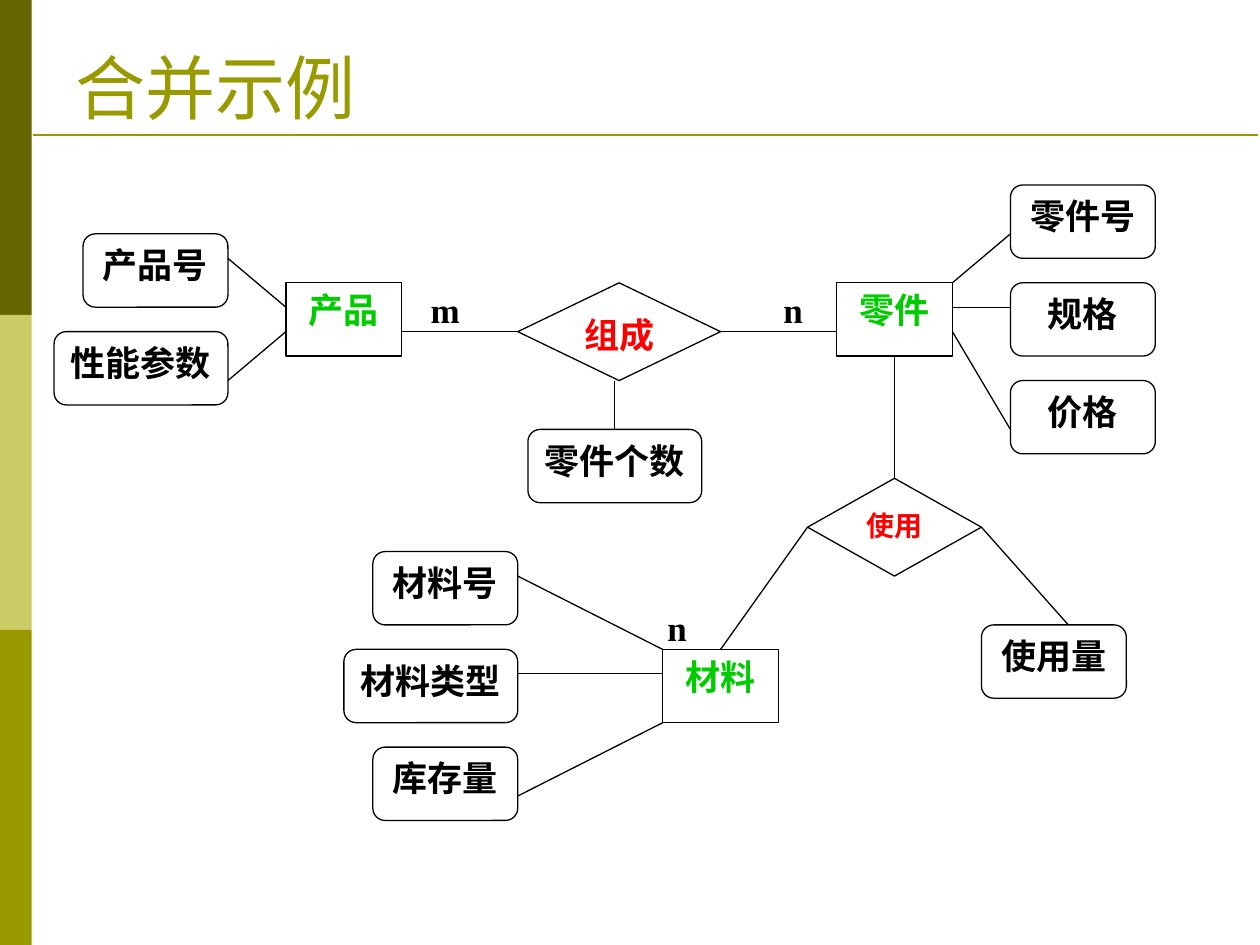
from dataclasses import dataclass

from lxml import etree
from pptx import Presentation
from pptx.dml.color import RGBColor
from pptx.enum.shapes import MSO_CONNECTOR, MSO_SHAPE
from pptx.enum.text import MSO_ANCHOR, PP_ALIGN
from pptx.oxml.ns import qn
from pptx.util import Cm, Pt

RECT, ROUNDED, DIAMOND = MSO_SHAPE.RECTANGLE, MSO_SHAPE.ROUNDED_RECTANGLE, MSO_SHAPE.DIAMOND
STRAIGHT = MSO_CONNECTOR.STRAIGHT
TOP, BOTTOM = MSO_ANCHOR.TOP, MSO_ANCHOR.BOTTOM
LEFT, CENTER = PP_ALIGN.LEFT, PP_ALIGN.CENTER
TOP_SITE, LEFT_SITE, BOTTOM_SITE, RIGHT_SITE = range(4)


@dataclass(frozen=True)
class Theme:
    font: str = "Times New Roman"
    olive: RGBColor = RGBColor(0x99, 0x99, 0x00)
    dark_olive: RGBColor = RGBColor(0x66, 0x66, 0x00)
    light_olive: RGBColor = RGBColor(0xCC, 0xCC, 0x66)
    white: RGBColor = RGBColor(0xFF, 0xFF, 0xFF)
    black: RGBColor = RGBColor(0x00, 0x00, 0x00)
    entity: RGBColor = RGBColor(0x00, 0xCC, 0x00)
    relation: RGBColor = RGBColor(0xFF, 0x00, 0x00)
    title_size: Pt = Pt(40)
    node_size: Pt = Pt(20)
    small_size: Pt = Pt(16)
    thin: Pt = Pt(0.75)
    rule: Pt = Pt(1.5)


THEME = Theme()

# Diagram grid: 38 columns by 26 rows
COLUMNS, ROWS = 38, 26
NODE_ROWS, DIAMOND_ROWS = 3, 4

# text, column, row, columns wide
CARDINALITIES = [("n", 20, 17, 3), ("n", 24, 4, 3), ("m", 12, 4, 3)]
ENTITIES = [("产品", 8, 4, 4), ("零件", 27, 4, 4), ("材料", 21, 19, 4)]
ATTRIBUTES = [
    ("产品号", 1, 2, 5), ("性能参数", 0, 6, 6),
    ("零件号", 33, 0, 5), ("规格", 33, 4, 5), ("价格", 33, 8, 5),
    ("零件个数", 16.35, 10, 6), ("使用量", 32, 18, 5),
    ("材料号", 11, 15, 5), ("材料类型", 10, 19, 6), ("库存量", 11, 23, 5),
]
RELATIONS = [("组成", 16, 4, 7, THEME.node_size), ("使用", 26, 12, 6, THEME.small_size)]

# Each end is a (column, row) point or a (node text, connection site) pair
LINKS = [
    ((12, 6), ("组成", LEFT_SITE)),
    (("组成", RIGHT_SITE), (27, 6)),
    ((19.35, 8), ("零件个数", TOP_SITE)),
    (("零件", BOTTOM_SITE), ("使用", TOP_SITE)),
    (("使用", RIGHT_SITE), (35, 18)),
    (("使用", LEFT_SITE), ("材料", TOP_SITE)),
    ((6, 3), (8, 5)), ((6, 8), (8, 6)),
    ((33, 2), (31, 4)), ((31, 5), (33, 5)), ((31, 6), (33, 10)),
    ((16, 16), (21, 19)), ((16, 20), (21, 20)), ((16, 25), (21, 22)),
]


def add_block(slide, kind, box, fill, outline=None):
    block = slide.shapes.add_shape(kind, *box)
    block.shadow.inherit = False
    block.fill.solid()
    block.fill.fore_color.rgb = fill
    if outline is None:
        block.line.fill.background()
    else:
        block.line.color.rgb = outline
        block.line.width = THEME.thin
    return block


def add_line(slide, start, end, color, width):
    line = slide.shapes.add_connector(STRAIGHT, *start, *end)
    line.line.color.rgb = color
    line.line.width = width
    etree.SubElement(line._element.spPr, qn("a:effectLst"))
    return line


def write(shape, text, size, color, bold, align, anchor, wrap):
    frame = shape.text_frame
    frame.word_wrap = wrap
    frame.vertical_anchor = anchor
    paragraph = frame.paragraphs[0]
    paragraph.text = text
    paragraph.alignment = align
    font = paragraph.font
    font.name, font.size, font.bold = THEME.font, size, bold
    font.color.rgb = color


def add_side_bar(slide, left, top, width, height):
    colors = (THEME.dark_olive, THEME.light_olive, THEME.olive)
    band = height // len(colors)
    for i, color in enumerate(colors):
        add_block(slide, RECT, (left, top + i * band, width, band), color)


def add_heading(slide, text, left, top, width, height):
    """Title text above a rule that spans the whole box."""
    bottom = top + height
    add_line(slide, (left, bottom), (left + width, bottom), THEME.olive, THEME.rule)
    title = slide.shapes.add_textbox(left + Cm(0.61), top, width - Cm(1.83), height)
    write(title, text, THEME.title_size, THEME.olive, False, LEFT, BOTTOM, True)


def add_er_diagram(slide, left, top, width, height):
    nodes = {}

    def at(column, row):
        return round(left + column * width / COLUMNS), round(top + row * height / ROWS)

    def add_node(kind, text, column, row, columns, rows, color, outline, size=THEME.node_size):
        x, y = at(column, row)
        right, bottom = at(column + columns, row + rows)
        node = add_block(slide, kind, (x, y, right - x, bottom - y), THEME.white, outline)
        write(node, text, size, color, True, CENTER, TOP, False)
        nodes[text] = node

    def place(end):
        return (0, 0) if end[0] in nodes else at(*end)

    for cardinality in CARDINALITIES:
        add_node(RECT, *cardinality, NODE_ROWS, THEME.black, None)
    for entity in ENTITIES:
        add_node(RECT, *entity, NODE_ROWS, THEME.entity, THEME.black)
    for attribute in ATTRIBUTES:
        add_node(ROUNDED, *attribute, NODE_ROWS, THEME.black, THEME.black)
    for *relation, size in RELATIONS:
        add_node(DIAMOND, *relation, DIAMOND_ROWS, THEME.relation, THEME.black, size)

    for start, end in LINKS:
        link = add_line(slide, place(start), place(end), THEME.black, THEME.thin)
        if start[0] in nodes:
            link.begin_connect(nodes[start[0]], start[1])
        if end[0] in nodes:
            link.end_connect(nodes[end[0]], end[1])


def main():
    deck = Presentation()
    deck.slide_width, deck.slide_height = Cm(25.4), Cm(19.05)
    slide = deck.slides.add_slide(deck.slide_layouts[6])
    add_side_bar(slide, 0, 0, Cm(0.64), deck.slide_height)
    add_heading(slide, "合并示例", Cm(0.66), Cm(0.76), Cm(24.69), Cm(1.96))
    add_er_diagram(slide, Cm(1.09), Cm(3.73), Cm(22.2), Cm(12.81))
    deck.save("out.pptx")


if __name__ == "__main__":
    main()
